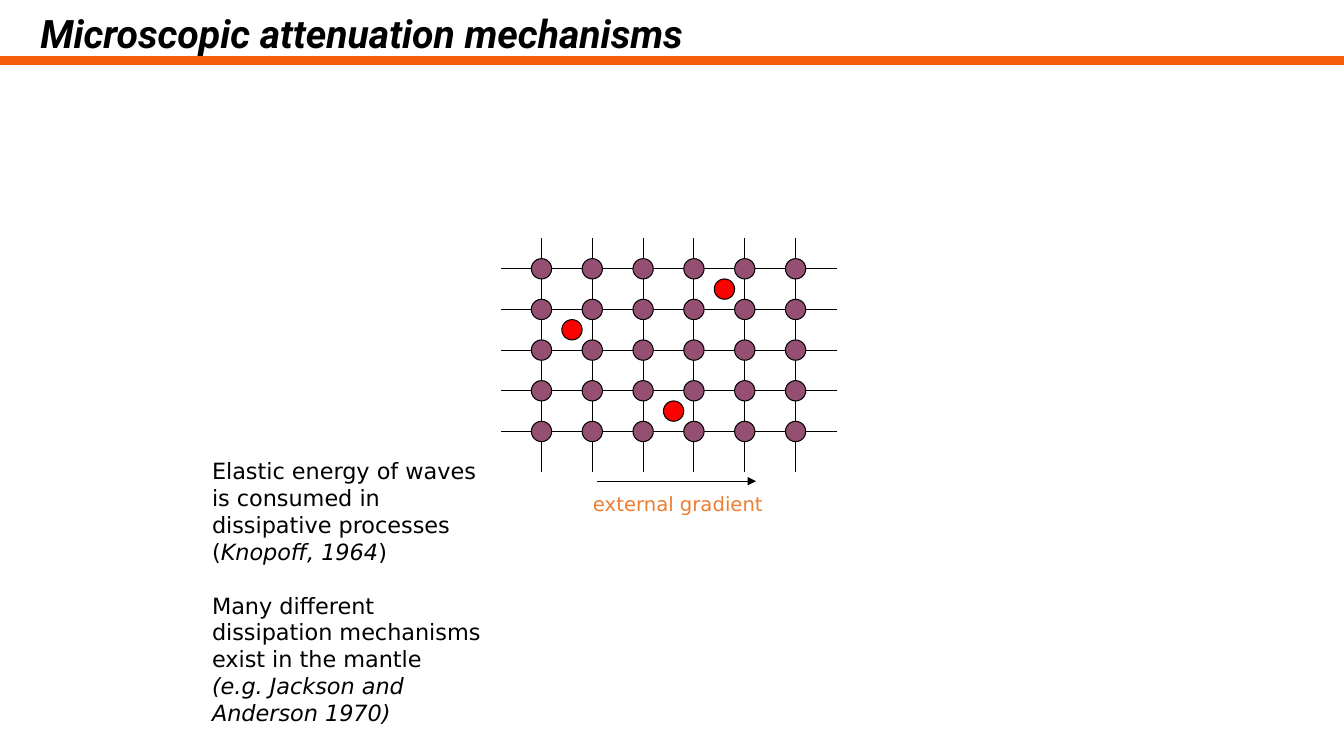
"""Build the slide on microscopic attenuation mechanisms."""
from lxml.etree import SubElement
from pptx import Presentation
from pptx.dml.color import RGBColor
from pptx.enum.shapes import MSO_CONNECTOR as CONN, MSO_SHAPE as SHAPE
from pptx.enum.text import MSO_ANCHOR as ANCHOR, MSO_AUTO_SIZE as AUTO, PP_ALIGN as ALIGN
from pptx.oxml.ns import qn
from pptx.util import Pt

BLACK, ORANGE, PURPLE, RED = "000000", "ED7D31", "954F72", "FF0000"
BODY = "DejaVu Sans"
COLS, ROWS = 6, 5
X0, Y0 = 386.8, 192
DX, DY = 36.3, 29.05
ATOM = 14.5


def paint(color_format, color):
    color_format.rgb = RGBColor.from_string(color)


def add_line(shapes, x1, y1, x2, y2, color=BLACK, width=0.75, arrow=False):
    s = shapes.add_connector(CONN.STRAIGHT, Pt(x1), Pt(y1), Pt(x2), Pt(y2))
    paint(s.line.color, color)
    s.line.width = Pt(width)
    if arrow:
        SubElement(s.line._get_or_add_ln(), qn("a:tailEnd"), type="triangle")
    SubElement(s._element.spPr, qn("a:effectLst"))


def add_atom(shapes, col, row, color):
    left, top = X0 + col * DX - ATOM / 2, Y0 + row * DY - ATOM / 2
    s = shapes.add_shape(SHAPE.OVAL, Pt(left), Pt(top), Pt(ATOM), Pt(ATOM))
    s.shadow.inherit = False
    s.fill.solid()
    paint(s.fill.fore_color, color)
    paint(s.line.color, BLACK)
    s.line.width = Pt(0.75)


def add_run(p, text, size, color=BLACK, font=BODY, bold=False, italic=False):
    r = p.add_run()
    r.text = text
    r.font.name, r.font.size = font, Pt(size)
    r.font.bold, r.font.italic = bold, italic
    paint(r.font.color, color)


def add_text(slide, box, paragraphs, size, color=BLACK, wrap=True):
    tf = slide.shapes.add_textbox(*map(Pt, box)).text_frame
    tf.word_wrap = wrap
    tf.auto_size = AUTO.SHAPE_TO_FIT_TEXT
    for i, (before, runs) in enumerate(paragraphs):
        p = tf.add_paragraph() if i else tf.paragraphs[0]
        if before:
            p.space_before = Pt(before)
        for text, italic in runs:
            add_run(p, text, size, color, italic=italic)


def set_title(slide, text):
    s = slide.shapes.title
    s.left, s.top, s.width, s.height = Pt(21.6), Pt(-2.9), Pt(828), Pt(56.9)
    tf = s.text_frame
    tf.vertical_anchor = ANCHOR.MIDDLE
    p = tf.paragraphs[0]
    p.alignment = ALIGN.LEFT
    p.line_spacing = 0.9
    add_run(p, text, 28, font="Roboto", bold=True, italic=True)


def add_lattice(slide):
    shapes = slide.shapes.add_group_shape().shapes
    for row in range(ROWS):
        y = Y0 + row * DY
        add_line(shapes, 357.8, y, 597.6, y)
    for col in range(COLS):
        x = X0 + col * DX
        add_line(shapes, x, 170, x, 337)
    for col in range(COLS):
        for row in range(ROWS):
            add_atom(shapes, col, row, PURPLE)
    for col, row in ((2.6, 3.5), (0.6, 1.5), (3.6, 0.5)):
        add_atom(shapes, col, row, RED)


def main():
    prs = Presentation()
    prs.slide_width, prs.slide_height = Pt(960), Pt(540)
    slide = prs.slides.add_slide(prs.slide_layouts[5])
    add_line(slide.shapes, 0, 43.2, 960, 43.2, "F65F0A", 6)
    set_title(slide, "Microscopic attenuation mechanisms")
    add_line(slide.shapes, 426.2, 343.7, 540, 343.7, arrow=True)
    add_text(slide, (416.5, 347.8, 136.8, 24.5),
             [(0, [("external gradient", False)])], 14, ORANGE, wrap=False)
    add_lattice(slide)
    add_text(slide, (144.4, 323.3, 213, 201), [
        (0, [("Elastic energy of waves is consumed in dissipative processes (", False),
             ("Knopoff, 1964", True), (")", False)]),
        (19, [("Many different dissipation mechanisms exist in the mantle", False)]),
        (0, [("(e.g. Jackson and Anderson 1970)", True)]),
    ], 16)
    prs.save("out.pptx")


if __name__ == "__main__":
    main()
